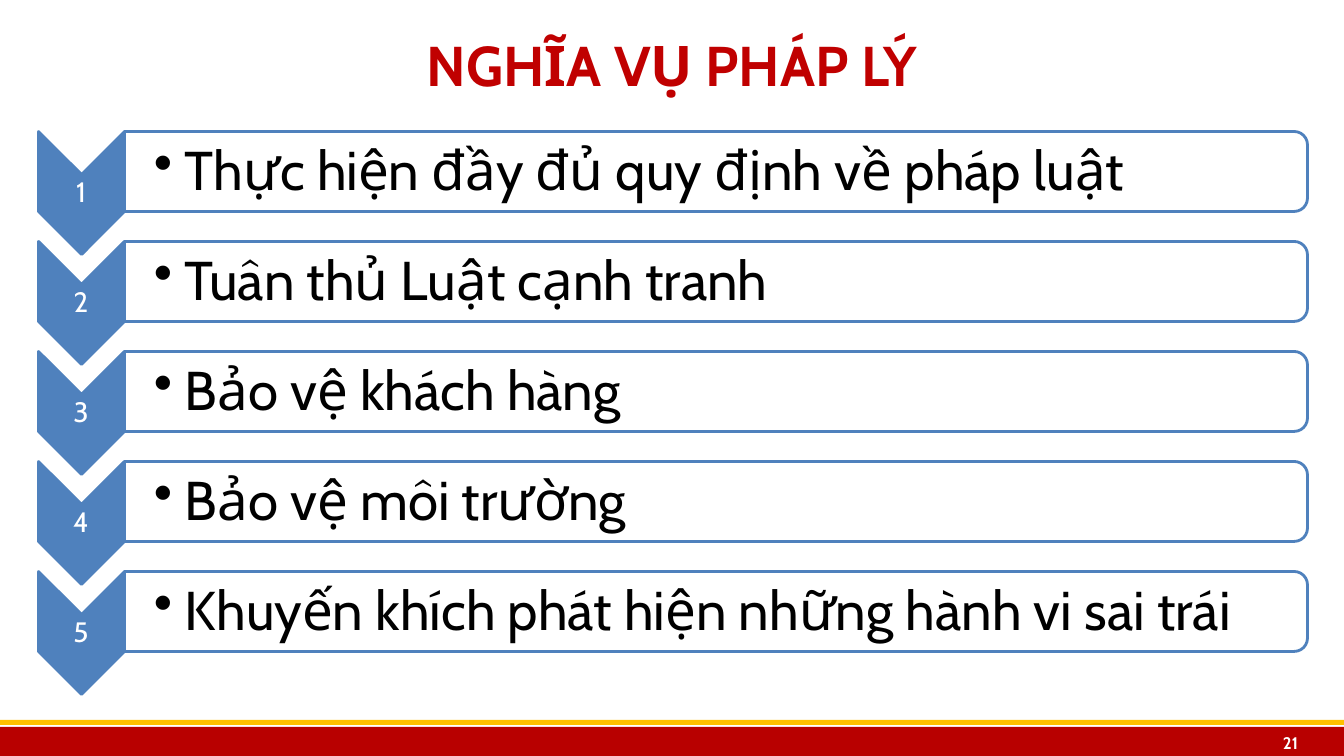
from dataclasses import dataclass

from lxml import etree
from pptx import Presentation
from pptx.dml.color import RGBColor
from pptx.enum.shapes import MSO_SHAPE
from pptx.enum.text import MSO_ANCHOR, PP_ALIGN
from pptx.oxml.ns import qn
from pptx.util import Emu, Pt

RECT = MSO_SHAPE.RECTANGLE
CHEVRON = MSO_SHAPE.CHEVRON
ROUND = MSO_SHAPE.ROUND_2_SAME_RECTANGLE
LEFT, CENTER, RIGHT = PP_ALIGN.LEFT, PP_ALIGN.CENTER, PP_ALIGN.RIGHT
MIDDLE = MSO_ANCHOR.MIDDLE

FONT = "Cabin"
COLORS = {
    "red": "B80000",
    "gold": "FFC000",
    "title": "C00000",
    "blue": "4F81BD",
    "white": "FFFFFF",
    "black": "000000",
}
WIDTH, HEIGHT = 1344, 756
PITCH = 110
INDENT = 31
DUTIES = [
    "Thực hiện đầy đủ quy định về pháp luật",
    "Tuân thủ Luật cạnh tranh",
    "Bảo vệ khách hàng",
    "Bảo vệ môi trường",
    "Khuyến khích phát hiện những hành vi sai trái",
]


@dataclass(frozen=True)
class Box:
    left: int
    top: int
    width: int
    height: int

    def down(self, step: int):
        return Box(self.left, self.top + step, self.width, self.height)


@dataclass(frozen=True)
class Style:
    size: int
    color: str
    align: PP_ALIGN
    inset: tuple[int, int, int, int]
    bold: bool = False
    space: float = 1.0
    bullet: bool = False


@dataclass(frozen=True)
class Look:
    kind: MSO_SHAPE
    fill: str
    line: str = ""
    turn: int = 0
    alpha: int = 100


TITLE = Style(40, "title", CENTER, (10, 5, 10, 5), bold=True)
NUMBER = Style(20, "white", CENTER, (1, 1, 1, 1), space=0.9)
DUTY = Style(39, "black", LEFT, (30, 3, 3, 3), space=0.9, bullet=True)
PAGE = Style(12, "white", RIGHT, (10, 0, 10, 0), bold=True)

BAND = Look(RECT, "red")
STRIPE = Look(RECT, "gold")
ARROW = Look(CHEVRON, "blue", "blue", 90)
BAR = Look(ROUND, "white", "blue", 90, 90)


def px(count: int) -> Emu:
    return Emu(round(count * 914400 / 100.8))


def place(box: Box) -> tuple[Emu, Emu, Emu, Emu]:
    return px(box.left), px(box.top), px(box.width), px(box.height)


def color(name: str) -> RGBColor:
    return RGBColor.from_string(COLORS[name])


def draw(slide, box: Box, look: Look) -> None:
    shape = slide.shapes.add_shape(look.kind, *place(box))
    shape.shadow.inherit = False
    shape.rotation = look.turn
    shape.fill.solid()
    shape.fill.fore_color.rgb = color(look.fill)
    if look.alpha < 100:
        tint = shape._element.spPr.find(qn("a:solidFill")).find(qn("a:srgbClr"))
        etree.SubElement(tint, qn("a:alpha"), val=str(look.alpha * 1000))
    if look.line:
        shape.line.color.rgb = color(look.line)
        shape.line.width = Pt(2)
    else:
        shape.line.fill.background()


def write(slide, box: Box, text: str, style: Style) -> None:
    frame = slide.shapes.add_textbox(*place(box)).text_frame
    frame.word_wrap = True
    frame.vertical_anchor = MIDDLE
    left, top, right, bottom = map(px, style.inset)
    frame.margin_left, frame.margin_top = left, top
    frame.margin_right, frame.margin_bottom = right, bottom
    para = frame.paragraphs[0]
    if style.bullet:
        props = para._p.get_or_add_pPr()
        props.set("marL", str(px(INDENT)))
        props.set("indent", str(-px(INDENT)))
        etree.SubElement(props, qn("a:buChar"), char="•")
    para.alignment = style.align
    para.line_spacing = style.space
    run = para.add_run()
    run.text = text
    run.font.name = FONT
    run.font.size = Pt(style.size)
    run.font.bold = style.bold
    run.font.color.rgb = color(style.color)


def main() -> None:
    deck = Presentation()
    deck.slide_width, deck.slide_height = px(WIDTH), px(HEIGHT)
    slide = deck.slides.add_slide(deck.slide_layouts[6])

    draw(slide, Box(0, 727, WIDTH, 31), BAND)
    draw(slide, Box(-1, 720, 1347, 5), STRIPE)
    write(slide, Box(37, 5, 1270, 119), "NGHĨA VỤ PHÁP LÝ", TITLE)

    for row, duty in enumerate(DUTIES):
        step = row * PITCH
        draw(slide, Box(20, 150, 123, 86).down(step), ARROW)
        write(slide, Box(38, 175, 86, 37).down(step), str(row + 1), NUMBER)
        draw(slide, Box(676, -420, 80, 1183).down(step), BAR)
        write(slide, Box(124, 136, 1180, 73).down(step), duty, DUTY)

    write(slide, Box(1220, 727, 88, 31), "21", PAGE)
    deck.save("out.pptx")


if __name__ == "__main__":
    main()
